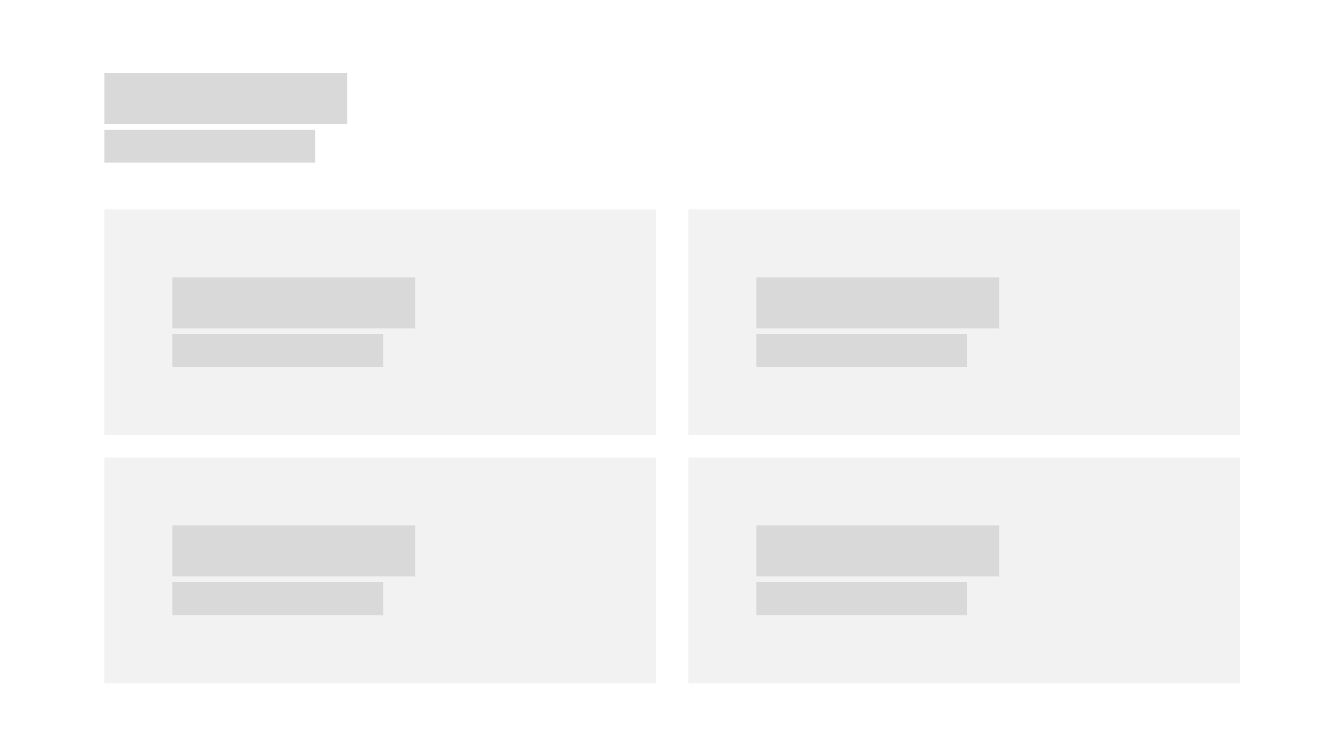
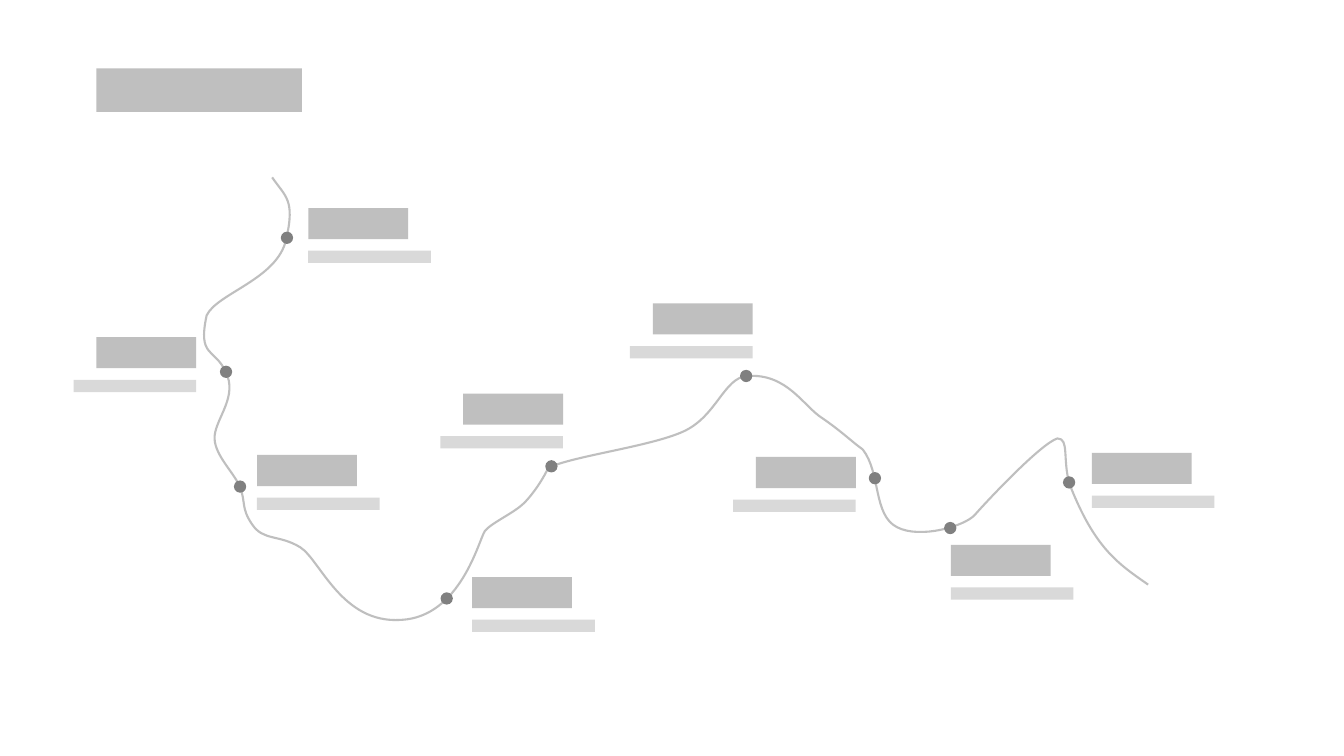
"""Builds two wireframe slides: a card grid and a winding roadmap."""
import dataclasses
import itertools

import pptx
import pptx.dml.color
import pptx.enum.shapes
import pptx.oxml
import pptx.util

Pt = pptx.util.Pt
SHAPE = pptx.enum.shapes.MSO_SHAPE


@dataclasses.dataclass(frozen=True)
class Theme:
    """Colours, line width and the sizes of the placeholder bars."""
    card: str = "F2F2F2"
    light: str = "D9D9D9"
    mid: str = "BFBFBF"
    dark: str = "808080"
    line: float = 1.5
    dot: float = 8.8
    heading: tuple = (173.4, 36.4)
    subheading: tuple = (150.5, 23.5)
    heading_gap: float = 4.1
    label: tuple = (71.3, 22.2)
    caption: tuple = (87.6, 8.8)
    label_gap: float = 8.3


THEME = Theme()

ROAD_START = (194.4, 126.7)
ROAD_CURVES = [
    ((203.8, 140.4), (211, 142.6), (204.5, 170.6)),
    ((198.7, 199.4), (154.8, 209.5), (147.6, 225.4)),
    ((141.1, 255.6), (153.4, 248.4), (161.3, 265.7)),
    ((169.9, 283), (154.8, 298.1), (153.4, 311)),
    ((151.9, 324), (167, 337), (171.4, 347.8)),
    ((175.7, 358.6), (172.1, 362.9), (180, 374.4)),
    ((187.9, 386.6), (199.4, 381.6), (214.6, 391)),
    ((229, 400.3), (244.1, 445.7), (286.6, 442.8)),
    ((329, 440.6), (342, 385.9), (346.3, 379.4)),
    ((350.6, 373.7), (367.2, 366.5), (374.4, 359.3)),
    ((382.3, 351.4), (389.5, 339.1), (391.7, 334.1)),
    ((411.1, 325.4), (464.4, 319), (488.2, 308.2)),
    ((511.9, 297.4), (517, 270), (533.5, 268.6)),
    ((562.3, 266.4), (573.8, 290.2), (587.5, 298.8)),
    ((601.2, 308.2), (608.4, 315.4), (616.3, 321.1)),
    ((629.3, 337.7), (623.5, 367.9), (640.8, 376.6)),
    ((657.4, 385.2), (689, 375.8), (696.2, 367.9)),
    ((707, 355.7), (743.8, 316.8), (755.3, 313.2)),
    ((763.9, 313.2), (758.9, 327.6), (763.9, 345.6)),
    ((781.9, 391.7), (798.5, 402.5), (820.1, 417.6)),
]

# Each stop: dot centre, label anchor (inner edge and top), label side.
STOPS = [
    ((205, 169.9), (220.2, 148.6), "right"),
    ((161.5, 265.6), (140.2, 240.8), "left"),
    ((171.5, 347.6), (183.6, 325), "right"),
    ((319.1, 427.5), (337.3, 412.2), "right"),
    ((393.9, 333.1), (402.2, 281.1), "left"),
    ((533, 268.6), (537.6, 216.7), "left"),
    ((625, 341.6), (611.3, 326.4), "left"),
    ((678.8, 377.2), (679.2, 389.1), "right"),
    ((763.7, 344.6), (779.9, 323.5), "right"),
]


def add_block(shapes, x, y, size, color, kind=SHAPE.RECTANGLE):
    """Add a flat, borderless shape."""
    sp = shapes.add_shape(kind, Pt(x), Pt(y), Pt(size[0]), Pt(size[1]))
    sp.shadow.inherit = False
    sp.fill.solid()
    sp.fill.fore_color.rgb = pptx.dml.color.RGBColor.from_string(color)
    sp.line.fill.background()
    return sp


def add_bar_pair(shapes, x, y, sizes, gap, colors, side="right"):
    """Stack two bars below y, extending to the given side of x."""
    for size, color in zip(sizes, colors):
        left = x if side == "right" else x - size[0]
        add_block(shapes, left, y, size, color)
        y += size[1] + gap


def add_heading(shapes, x, y):
    """Add a heading bar with its subheading bar."""
    add_bar_pair(shapes, x, y, (THEME.heading, THEME.subheading),
                 THEME.heading_gap, (THEME.light, THEME.light))


def add_card(s, x, y, size):
    """Add a card whose heading is inset equally from left, top and bottom."""
    add_block(s.shapes, x, y, size, THEME.card)
    pair_height = THEME.heading[1] + THEME.heading_gap + THEME.subheading[1]
    inset = (size[1] - pair_height) / 2
    add_heading(s.shapes.add_group_shape().shapes, x + inset, y + inset)


def add_road(s, start, curves):
    """Draw an open path of cubic curves."""
    builder = s.shapes.build_freeform(Pt(start[0]), Pt(start[1]))
    points = itertools.chain.from_iterable(curves)
    builder.add_line_segments([(Pt(x), Pt(y)) for x, y in points], close=False)
    sp = builder.convert_to_shape()
    sp.shadow.inherit = False
    sp.fill.background()
    sp.line.width = Pt(THEME.line)
    sp.line.color.rgb = pptx.dml.color.RGBColor.from_string(THEME.mid)
    segments = sp._element.xpath(".//a:lnTo")
    for first in range(0, len(segments), 3):
        curve = pptx.oxml.ns.qn("a:cubicBezTo")
        node = segments[first].makeelement(curve, {})
        segments[first].addprevious(node)
        for segment in segments[first:first + 3]:
            node.append(segment[0])
            segment.getparent().remove(segment)


def add_stop(s, center, anchor, side):
    """Add a dot on the road and its label and caption bars."""
    d = THEME.dot
    add_block(s.shapes, center[0] - d / 2, center[1] - d / 2, (d, d),
              THEME.dark, SHAPE.OVAL)
    add_bar_pair(s.shapes.add_group_shape().shapes, *anchor,
                 (THEME.label, THEME.caption), THEME.label_gap,
                 (THEME.mid, THEME.light), side)


def build_cards(s):
    """Build a heading over a two by two grid of cards."""
    left, top, size, gap_x, gap_y = 74.6, 149.6, (394, 161.1), 23.1, 16.1
    add_heading(s.shapes, left, 52.2)
    for row, col in itertools.product(range(2), range(2)):
        add_card(s, left + col * (size[0] + gap_x),
                 top + row * (size[1] + gap_y), size)


def build_roadmap(s):
    """Build a heading bar and a road with labelled stops."""
    add_block(s.shapes, 68.8, 48.8, (146.9, 31.1), THEME.mid)
    add_road(s, ROAD_START, ROAD_CURVES)
    for stop in STOPS:
        add_stop(s, *stop)


def main():
    """Create and save the presentation."""
    prs = pptx.Presentation()
    prs.slide_width, prs.slide_height = Pt(960), Pt(540)
    for build in (build_cards, build_roadmap):
        build(prs.slides.add_slide(prs.slide_layouts[6]))
    prs.save("out.pptx")


if __name__ == "__main__":
    main()
